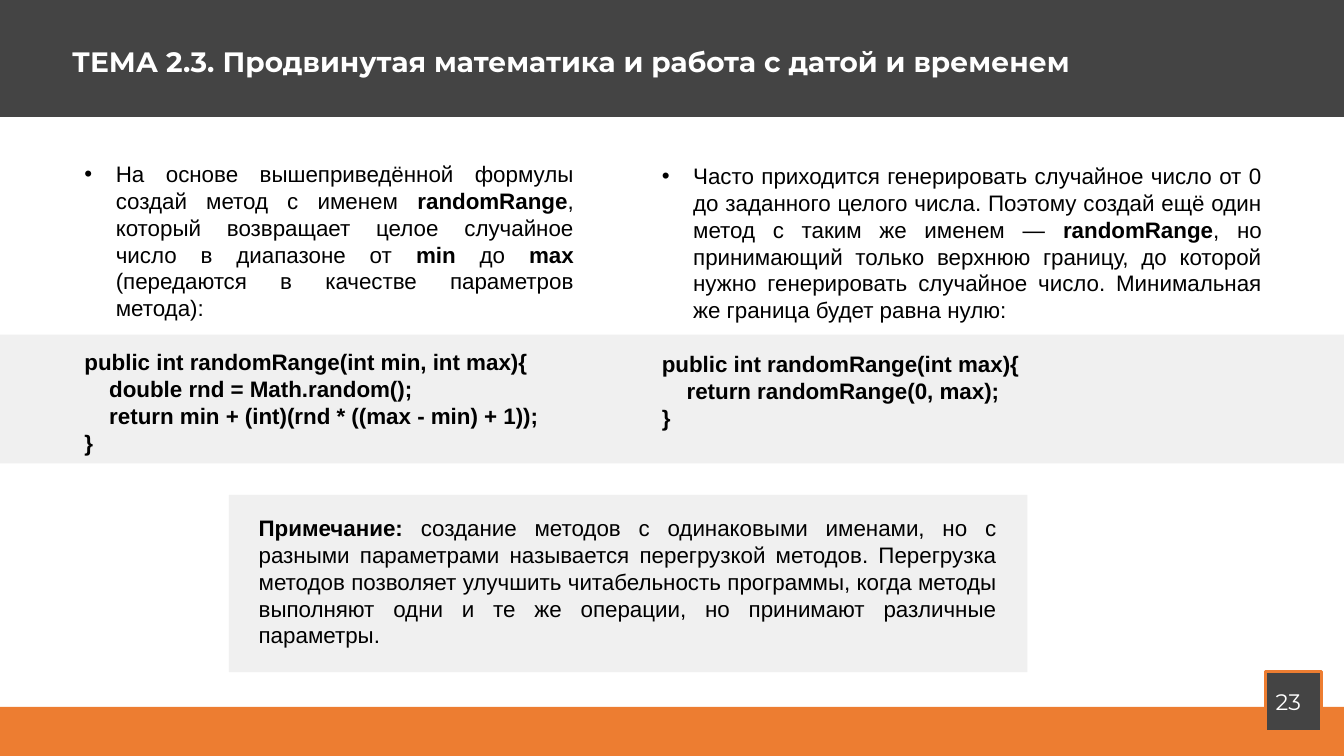
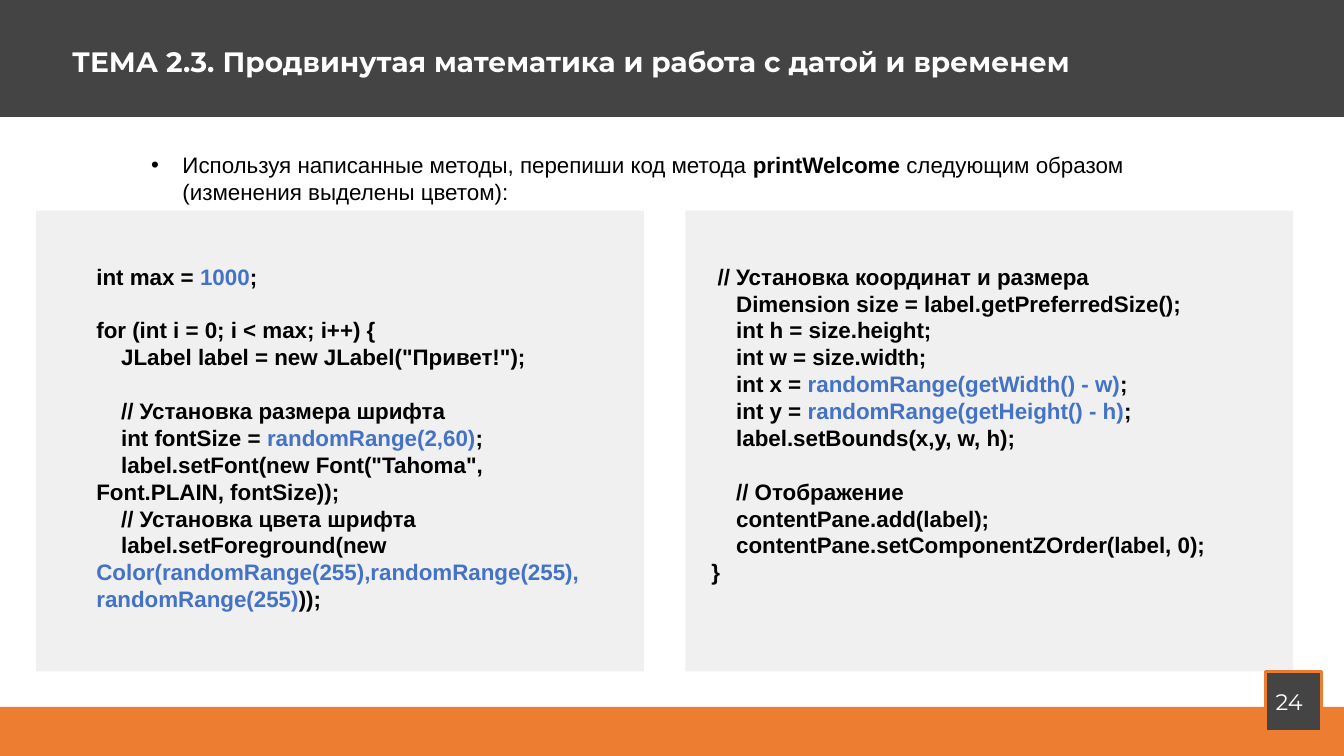
from lxml import etree
from pptx import Presentation
from pptx.dml.color import RGBColor
from pptx.enum.shapes import MSO_SHAPE
from pptx.enum.text import MSO_ANCHOR, PP_ALIGN
from pptx.oxml.ns import qn
from pptx.util import Cm, Pt

RECT = MSO_SHAPE.RECTANGLE
LEFT, JUSTIFY = PP_ALIGN.LEFT, PP_ALIGN.JUSTIFY
TOP, MIDDLE = MSO_ANCHOR.TOP, MSO_ANCHOR.MIDDLE

# Shared look
DARK, ORANGE, BLUE = "444444", "ED7D31", "4472C4"
WHITE, BLACK = "FFFFFF", "000000"
HEADING_FONT, BODY_FONT = "Montserrat", "Arial"
TITLE_SIZE, BODY_SIZE = 20, 16
BLANK_LINE = Pt(19.2)
HANG = Cm(0.79)
PANEL_OPACITY = 8
WIDTH, HEIGHT = 33.87, 19.05

# Content: in each paragraph every second run is highlighted
# (bold in prose, blue in code); an empty code line is a gap
TITLE = "ТЕМА 2.3. Продвинутая математика и работа с датой и временем"

METHODS = [
    {
        "box": (1.88, 3.91, 12.83, 7.77),
        "prose": [
            "На основе вышеприведённой формулы создай метод с именем ", "randomRange",
            ", который возвращает целое случайное число в диапазоне от ", "min ",
            "до ", "max", " (передаются в качестве параметров метода):"],
        "code": [
            ["public int randomRange(int min, int max){"],
            ["    double rnd = Math.random();"],
            ["    return min + (int)(rnd * ((max - min) + 1));"],
            ["}"]],
    },
    {
        "box": (16.43, 3.96, 15.62, 7.09),
        "prose": [
            "Часто приходится генерировать случайное число от 0 до заданного целого числа. "
            "Поэтому создай ещё один метод с таким же именем — ", "randomRange",
            ", но принимающий только верхнюю границу, до которой нужно генерировать "
            "случайное число. Минимальная же граница будет равна нулю:"],
        "code": [
            ["public int randomRange(int max){"],
            ["    return randomRange(0, max);"],
            ["}"]],
    },
]

NOTE = [
    "", "Примечание: ",
    "создание методов с одинаковыми именами, но с разными параметрами называется "
    "перегрузкой методов. Перегрузка методов позволяет улучшить читабельность программы, "
    "когда методы выполняют одни и те же операции, но принимают различные параметры."]

TASK = ["Используя написанные методы, перепиши код метода ", "printWelcome",
        " следующим образом (изменения выделены цветом):"]

LISTINGS = [
    ((2.18, 6.5, 12.78, 9.14), [
        ["int max = ", "1000", ";"],
        [],
        ["for (int i = 0; i < max; i++) {"],
        ["    JLabel label = new JLabel(\"Привет!\");"],
        [],
        ["    // Установка размера шрифта"],
        ["    int fontSize = ", "randomRange(2,60)", ";"],
        ["    label.setFont(new Font(\"Tahoma\", Font.PLAIN, fontSize));"],
        ["    // Установка цвета шрифта"],
        ["    label.setForeground(new ",
         "Color(randomRange(255),randomRange(255),randomRange(255)", "));"]]),
    ((17.68, 6.5, 14.55, 8.46), [
        [" // Установка координат и размера"],
        ["    Dimension size = label.getPreferredSize();"],
        ["    int h = size.height;"],
        ["    int w = size.width;"],
        ["    int x = ", "randomRange(getWidth() - w)", ";"],
        ["    int y = ", "randomRange(getHeight() - h)", ";"],
        ["    label.setBounds(x,y, w, h);"],
        [],
        ["    // Отображение"],
        ["    contentPane.add(label);"],
        ["    contentPane.setComponentZOrder(label, 0);"],
        ["}"]]),
]


def rgb(color):
    return RGBColor.from_string(color)


def add_rect(slide, box, color, opacity=None, outline=None):
    rect = slide.shapes.add_shape(RECT, *map(Cm, box))
    rect.shadow.inherit = False
    rect.fill.solid()
    rect.fill.fore_color.rgb = rgb(color)
    if opacity is not None:
        srgb = rect.fill._xPr.find(".//" + qn("a:srgbClr"))
        etree.SubElement(srgb, qn("a:alpha"), val=str(opacity * 1000))
    if outline:
        rect.line.color.rgb = rgb(outline)
        rect.line.width = Pt(2.25)
    else:
        rect.line.fill.background()
    return rect


def add_frame(slide, box):
    frame = slide.shapes.add_textbox(*map(Cm, box)).text_frame
    frame.word_wrap = True
    frame.vertical_anchor = TOP
    return frame


def next_paragraph(frame):
    first = frame.paragraphs[0]
    return first if not first.runs else frame.add_paragraph()


def add_run(paragraph, text, font=BODY_FONT, size=BODY_SIZE, color=BLACK, bold=False):
    run = paragraph.add_run()
    run.text = text
    run.font.name = font
    run.font.size = Pt(size)
    run.font.color.rgb = rgb(color)
    run.font.bold = bold


def add_prose(frame, parts, align=JUSTIFY, bullet=False):
    paragraph = next_paragraph(frame)
    paragraph.alignment = align
    if bullet:
        props = paragraph._p.get_or_add_pPr()
        props.set("marL", str(HANG))
        props.set("indent", str(-HANG))
        etree.SubElement(props, qn("a:buFont"), typeface=BODY_FONT)
        etree.SubElement(props, qn("a:buChar"), char="•")
    for i, part in enumerate(parts):
        if part:
            add_run(paragraph, part, bold=i % 2 == 1)
    return paragraph


def add_code(frame, lines):
    for line in lines:
        if not line:
            paragraph.space_after = BLANK_LINE
            continue
        paragraph = next_paragraph(frame)
        paragraph.alignment = LEFT
        for i, part in enumerate(line):
            add_run(paragraph, part, color=BLUE if i % 2 else BLACK, bold=True)


def add_panel(slide, box):
    add_rect(slide, box, DARK, opacity=PANEL_OPACITY)


def add_base(prs, number):
    """Slide with the header band, title, footer band and page number."""
    slide = prs.slides.add_slide(prs.slide_layouts[6])
    add_rect(slide, (0, 0, WIDTH, 2.95), DARK)
    title = add_frame(slide, (1.57, 0.94, 29, 1.17)).paragraphs[0]
    title.line_spacing = 1.07
    add_run(title, TITLE, HEADING_FONT, TITLE_SIZE, WHITE, True)

    add_rect(slide, (0, 17.81, WIDTH, HEIGHT - 17.81), ORANGE)
    badge = add_rect(slide, (31.9, 16.92, 1.4, 1.52), DARK, outline=ORANGE).text_frame
    badge.vertical_anchor = MIDDLE
    page = badge.paragraphs[0]
    page.alignment = LEFT
    page.line_spacing = 1.01
    add_run(page, str(number), HEADING_FONT, BODY_SIZE, WHITE)
    return slide


def build_methods(prs):
    slide = add_base(prs, 23)
    add_panel(slide, (0, 8.43, WIDTH, 3.25))
    for method in METHODS:
        frame = add_frame(slide, method["box"])
        prose = add_prose(frame, method["prose"], bullet=True)
        prose.space_after = BLANK_LINE
        add_code(frame, method["code"])

    # Note under the code band
    add_panel(slide, (5.77, 12.47, 20.12, 4.47))
    add_prose(add_frame(slide, (6.27, 12.83, 19.1, 3.68)), NOTE)


def build_listing(prs):
    slide = add_base(prs, 24)
    add_prose(add_frame(slide, (3.56, 3.68, 27.64, 1.63)), TASK, LEFT, bullet=True)

    # Two code panels side by side
    panel_left, panel_width, gap = 0.91, 15.32, 1.04
    for i, (box, lines) in enumerate(LISTINGS):
        add_panel(slide, (panel_left + i * (panel_width + gap), 5.31, panel_width, 11.61))
        add_code(add_frame(slide, box), lines)


def main():
    prs = Presentation()
    prs.slide_width, prs.slide_height = Cm(WIDTH), Cm(HEIGHT)
    build_methods(prs)
    build_listing(prs)
    prs.save("out.pptx")


if __name__ == "__main__":
    main()
